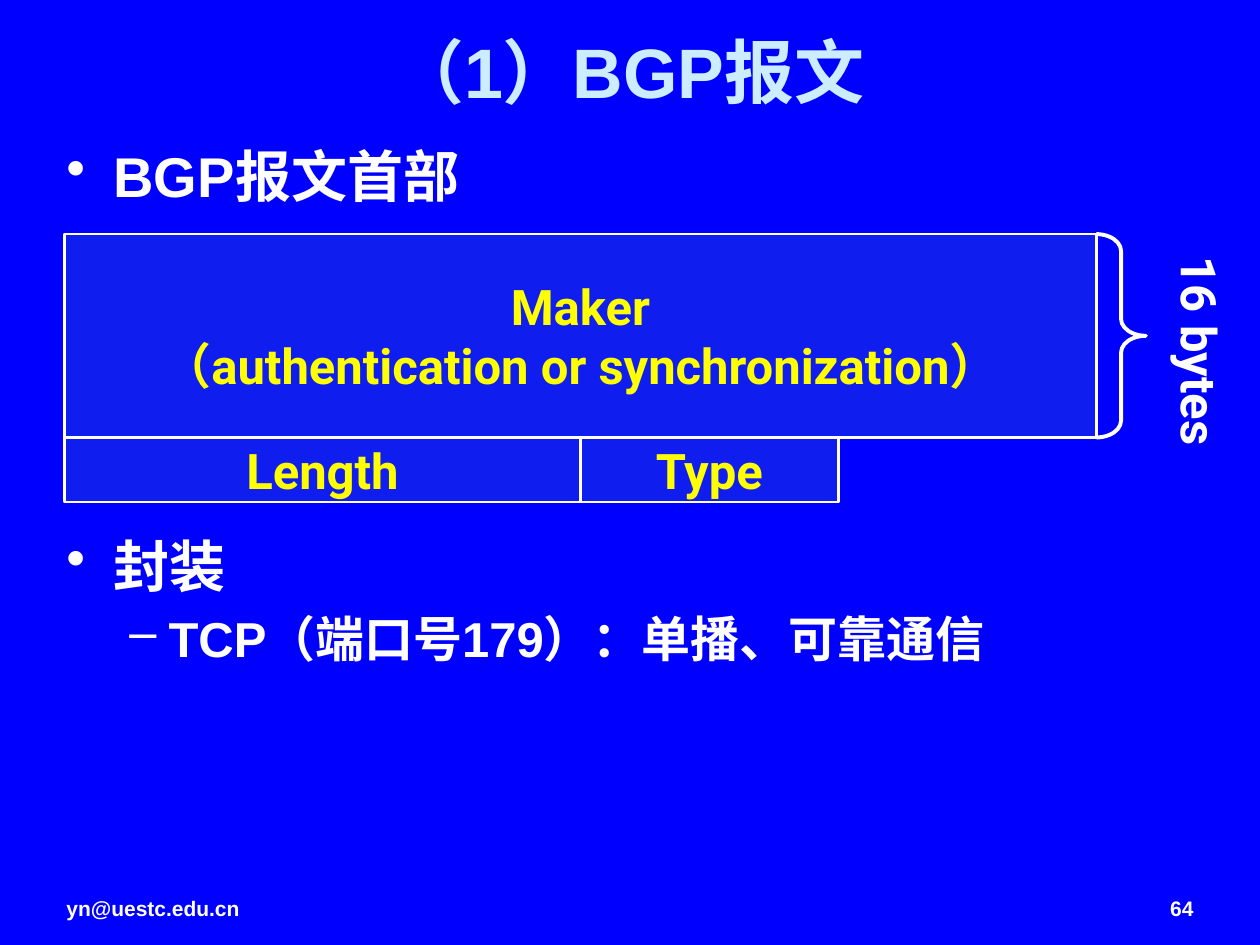
from lxml import etree
from pptx import Presentation
from pptx import util as u
from pptx.dml.color import RGBColor
from pptx.enum import shapes, text
from pptx.oxml import ns

BLUE = RGBColor(0x00, 0x00, 0xFF)
WHITE = RGBColor(0xFF, 0xFF, 0xFF)
PALE_BLUE = RGBColor(0xCC, 0xEC, 0xFF)
FIELD_BLUE = RGBColor(0x33, 0x66, 0xCC)
YELLOW = RGBColor(0xFF, 0xFF, 0x00)

MARGIN, CONTENT_WIDTH = 1.09, 23.19
HEADER_LEFT, HEADER_TOP = 1.3, 4.72
BYTE_WIDTH, MARKER_HEIGHT, ROW_HEIGHT = 5.2, 4.1, 1.3
BULLETS = [("•", 0.95, -0.95, 32), ("–", 2.06, -0.79, 28)]


def place(left, top, width, height):
    return [u.Cm(value) for value in (left, top, width, height)]


def style_paragraph(para, size, color, font="Arial", align=text.PP_ALIGN.LEFT):
    para.alignment = align
    for span in para.runs:
        span.font.size = u.Pt(size)
        span.font.name = font
        span.font.bold = True
        span.font.color.rgb = color


def add_label(page, position, words, size, color=WHITE, wrap=True,
              anchor=text.MSO_ANCHOR.TOP, **style):
    box = page.shapes.add_textbox(*place(*position))
    frame = box.text_frame
    frame.word_wrap = wrap
    frame.vertical_anchor = anchor
    frame.text = words
    for para in frame.paragraphs:
        style_paragraph(para, size, color, **style)
    return box


def add_bullets(page, top, height, items):
    box = page.shapes.add_textbox(*place(MARGIN, top, CONTENT_WIDTH, height))
    frame = box.text_frame
    frame.word_wrap = True
    frame.text = "\n".join(words for words, level in items)
    for index, (para, (words, level)) in enumerate(zip(frame.paragraphs, items)):
        mark, margin, indent, size = BULLETS[level]
        properties = para._p.get_or_add_pPr()
        properties.set("marL", str(u.Cm(margin)))
        properties.set("indent", str(u.Cm(indent)))
        bullet = etree.SubElement(properties, ns.qn("a:buChar"))
        bullet.set("char", mark)
        para.level = level
        para.space_before = u.Pt(0.2 * size if index else 0)
        style_paragraph(para, size, WHITE)


def add_field(page, first_byte, byte_count, top, height, words):
    left = HEADER_LEFT + first_byte * BYTE_WIDTH
    field = page.shapes.add_shape(
        shapes.MSO_SHAPE.RECTANGLE,
        *place(left, top, byte_count * BYTE_WIDTH, height))
    field.shadow.inherit = False
    field.fill.solid()
    field.fill.fore_color.rgb = FIELD_BLUE
    color = field.fill._xPr.find(".//" + ns.qn("a:srgbClr"))
    etree.SubElement(color, ns.qn("a:alpha")).set("val", "30000")
    field.line.color.rgb = WHITE
    field.line.width = u.Pt(1.5)
    frame = field.text_frame
    frame.word_wrap = False
    frame.vertical_anchor = text.MSO_ANCHOR.MIDDLE
    frame.text = words
    for para in frame.paragraphs:
        style_paragraph(para, 28, YELLOW, "Roboto", text.PP_ALIGN.CENTER)


def add_brace(page):
    left = HEADER_LEFT + 4 * BYTE_WIDTH
    brace = page.shapes.add_shape(
        shapes.MSO_SHAPE.RIGHT_BRACE,
        *place(left, HEADER_TOP, 1, MARKER_HEIGHT))
    brace.adjustments[0] = 0.34
    brace.adjustments[1] = 0.5
    brace.shadow.inherit = False
    brace.fill.background()
    brace.line.color.rgb = WHITE
    brace.line.width = u.Pt(2.25)


def add_packet_header(page):
    second_row = HEADER_TOP + MARKER_HEIGHT
    add_field(page, 0, 4, HEADER_TOP, MARKER_HEIGHT,
              "Maker\n（authentication or synchronization）")
    add_field(page, 0, 2, second_row, ROW_HEIGHT, "Length")
    add_field(page, 2, 1, second_row, ROW_HEIGHT, "Type")
    add_brace(page)
    size_label = add_label(page, (23.22, 4.93, 1.7, 3.91), "16 bytes", 28,
                           wrap=False, font="Roboto",
                           align=text.PP_ALIGN.CENTER)
    size_label.text_frame._txBody.bodyPr.set("vert", "eaVert")


def main():
    deck = Presentation()
    deck.slide_width, deck.slide_height = u.Cm(25.4), u.Cm(19.05)
    page = deck.slides.add_slide(deck.slide_layouts[6])
    page.background.fill.solid()
    page.background.fill.fore_color.rgb = BLUE

    add_label(page, (MARGIN, 0.3, CONTENT_WIDTH, 2.24), "（1）BGP报文", 40,
              PALE_BLUE, anchor=text.MSO_ANCHOR.MIDDLE,
              align=text.PP_ALIGN.CENTER)
    add_bullets(page, 2.72, 1.8, [("BGP报文首部", 0)])
    add_packet_header(page)
    add_bullets(page, 10.59, 7.1,
                [("封装", 0), ("TCP（端口号179）：单播、可靠通信", 1)])
    add_label(page, (MARGIN, 17.93, 16.89, 0.89), "yn@uestc.edu.cn", 12)
    add_label(page, (18.42, 17.93, 5.89, 0.89), "64", 12,
              align=text.PP_ALIGN.RIGHT)
    deck.save("out.pptx")


if __name__ == "__main__":
    main()
